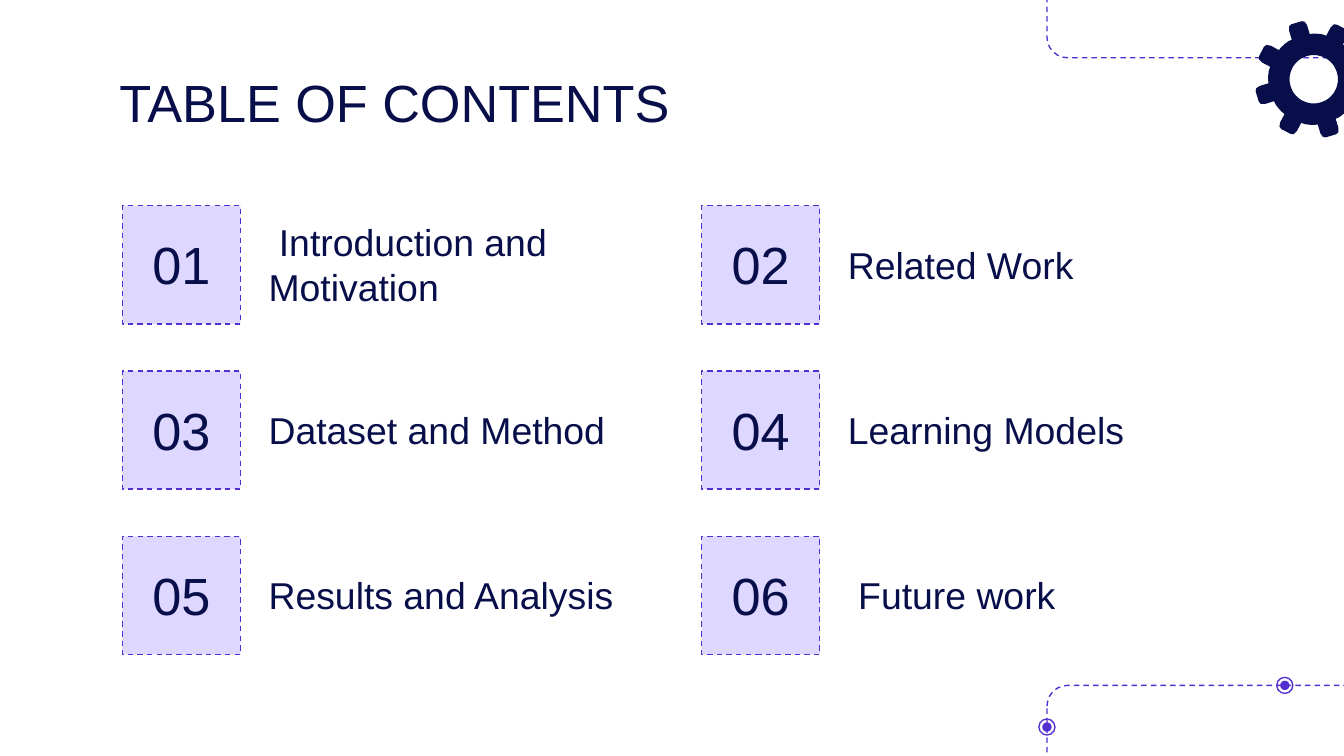
from dataclasses import dataclass
from math import cos, radians, sin

from pptx import Presentation
from pptx import util as u
from pptx.dml.color import RGBColor
from pptx.enum import dml, shapes, text

NAVY, VIOLET, LILAC = "070E49", "542FD0", "DED7FF"
Kind = shapes.MSO_SHAPE
FRAME = dict(word_wrap=True, margin_left=u.Inches(0.1), margin_right=u.Inches(0.1),
             margin_top=u.Inches(0.09), margin_bottom=u.Inches(0.1))


@dataclass
class Box:
    x: float
    y: float
    w: float
    h: float

    def emu(self) -> list:
        return [u.Inches(v) for v in (self.x, self.y, self.w, self.h)]


@dataclass
class Item:
    label: str
    width: float


def color(code: str) -> RGBColor:
    return RGBColor.from_string(code)


def assign(obj, values: dict) -> None:
    for name, value in values.items():
        setattr(obj, name, value)


def paint(shape, fill: str = "", line: str = "") -> None:
    shape.shadow.inherit = False
    if fill:
        shape.fill.solid()
        shape.fill.fore_color.rgb = color(fill)
    else:
        shape.fill.background()
    if line:
        shape.line.color.rgb = color(line)
        assign(shape.line, dict(width=u.Pt(0.75), dash_style=dml.MSO_LINE.DASH))
    else:
        shape.line.fill.background()


def add_form(slide, kind, box: Box, fill: str = "", line: str = "", adj: float | None = None):
    shape = slide.shapes.add_shape(kind, *box.emu())
    paint(shape, fill, line)
    if adj is not None:
        shape.adjustments[0] = adj
    return shape


def write(shape, words: str, size: int, align=text.PP_ALIGN.LEFT,
          anchor=text.MSO_ANCHOR.MIDDLE) -> None:
    frame = shape.text_frame
    assign(frame, FRAME | dict(vertical_anchor=anchor))
    para = frame.paragraphs[0]
    para.alignment = align
    run = para.add_run()
    run.text = words
    assign(run.font, dict(name="Arial", size=u.Pt(size)))
    run.font.color.rgb = color(NAVY)


def add_node(slide, x: float, y: float) -> None:
    for kind, size, adj in ((Kind.OVAL, 0.07, None), (Kind.DONUT, 0.13, 0.08)):
        add_form(slide, kind, Box(x - size / 2, y - size / 2, size, size), VIOLET, adj=adj)


def add_gear(slide, x: float, y: float) -> None:
    # Each tooth is a list of (distance from centre, sideways offset)
    tooth = [(0.33, -0.07), (0.4, -0.07), (0.43, -0.06), (0.44, -0.04),
             (0.44, 0.04), (0.43, 0.06), (0.4, 0.07), (0.33, 0.07)]
    arc = [(0.34 * cos(radians(a)), 0.34 * sin(radians(a))) for a in (17, 22.5, 28)]

    def turn(point: tuple, angle: float) -> tuple:
        c, s = cos(radians(angle)), sin(radians(angle))
        r, t = point
        return (x + r * c - t * s) * 1000, (y + r * s + t * c) * 1000

    rim = [turn(p, 28 + 45 * n) for n in range(8) for p in tooth + arc]
    hole = [turn((0.18, 0), -6 * n) for n in range(60)]
    path = slide.shapes.build_freeform(*rim[0], scale=u.Inches(1) / 1000)
    path.add_line_segments(rim[1:], close=True)
    path.move_to(*hole[0])
    path.add_line_segments(hole[1:], close=True)
    paint(path.convert_to_shape(), NAVY)


def add_item(slide, index: int, item: Item) -> None:
    row, col = divmod(index, 2)
    x, y, side = 0.91 + 4.31 * col, 1.53 + 1.23 * row, 0.88
    label = slide.shapes.add_textbox(*Box(x + 0.99, y, item.width, side).emu())
    write(label, item.label, 20)
    tile = add_form(slide, Kind.RECTANGLE, Box(x, y, side, side), LILAC, VIOLET)
    write(tile, f"{index + 1:02}", 28, text.PP_ALIGN.CENTER)


ITEMS = [
    Item(" Introduction and Motivation", 3.1), Item("Related Work", 3.32),
    Item("Dataset and Method", 2.89), Item("Learning Models", 3.8),
    Item("Results and Analysis", 3.54), Item(" Future work", 3.21),
]


def main() -> None:
    deck = Presentation()
    wide = u.Inches(10)
    assign(deck, dict(slide_width=wide, slide_height=wide * 9 // 16))
    slide = deck.slides.add_slide(deck.slide_layouts[6])

    # Corner decoration
    for y in (-0.48, 5.1):
        add_form(slide, Kind.ROUNDED_RECTANGLE, Box(7.79, y, 2.62, 0.91),
                 line=VIOLET, adj=0.169)
    add_node(slide, 9.56, 5.1)
    add_node(slide, 7.79, 5.41)
    add_gear(slide, 9.775, 0.59)

    # Title
    title = slide.shapes.add_textbox(*Box(0.79, 0.42, 8.43, 0.65).emu())
    write(title, "TABLE OF CONTENTS", 28, anchor=text.MSO_ANCHOR.TOP)
    title.text_frame.margin_top = u.Inches(0.1)

    # Numbered contents
    for index, item in enumerate(ITEMS):
        add_item(slide, index, item)

    deck.save("out.pptx")


if __name__ == "__main__":
    main()
